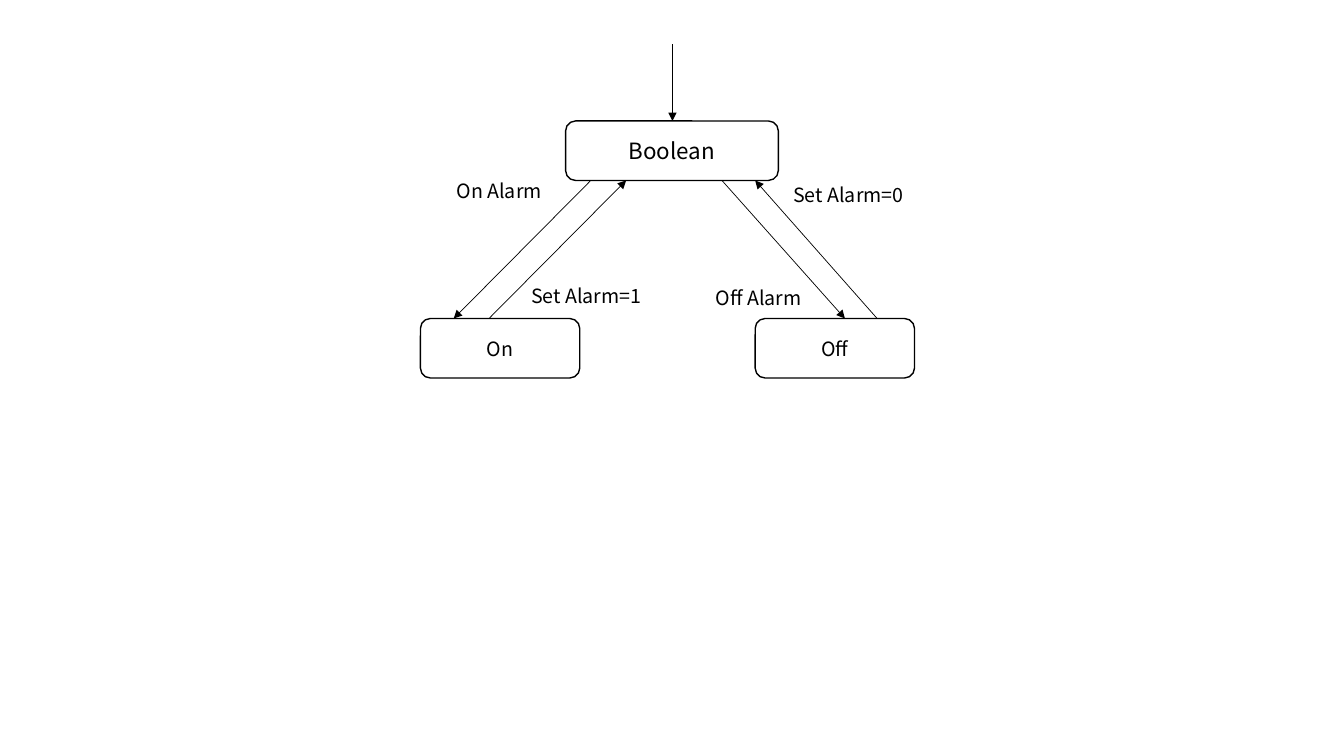
from pptx import Presentation
from pptx.dml.color import RGBColor
from pptx.enum import shapes, text
from pptx.oxml.ns import qn
from pptx.util import Inches, Pt
from lxml import etree

COLORS = {"ink": "000000", "paper": "FFFFFF"}
FONT = "Noto Sans CJK KR"
INK = RGBColor.from_string(COLORS["ink"])
PAPER = RGBColor.from_string(COLORS["paper"])

deck = Presentation()
deck.slide_width, deck.slide_height = Inches(13.33), Inches(7.5)
page = deck.slides.add_slide(deck.slide_layouts[6])


def write(box, wording, size, align):
    para = box.text_frame.paragraphs[0]
    para.alignment = align
    span = para.add_run()
    span.text = wording
    for name, value in {"name": FONT, "size": Pt(size)}.items():
        setattr(span.font, name, value)
    span.font.color.rgb = INK


state_height = 0.59
top_row, bottom_row = 1.2, 3.16
top_edge = top_row + state_height

states = [
    ("Boolean", 5.61, top_row, 2.11, 16),
    ("On", 4.17, bottom_row, 1.58, 14),
    ("Off", 7.49, bottom_row, 1.58, 14),
]
for wording, left, top, width, size in states:
    state = page.shapes.add_shape(
        shapes.MSO_SHAPE.ROUNDED_RECTANGLE,
        Inches(left), Inches(top), Inches(width), Inches(state_height))
    state.shadow.inherit = False
    state.fill.solid()
    state.fill.fore_color.rgb = PAPER
    state.line.color.rgb = INK
    state.line.width = Pt(1)
    state.text_frame.vertical_anchor = text.MSO_ANCHOR.MIDDLE
    write(state, wording, size, text.PP_ALIGN.CENTER)

transitions = [
    (6.67, 0.44, 6.67, top_row),
    (5.86, top_edge, 4.5, bottom_row),
    (4.85, bottom_row, 6.21, top_edge),
    (7.16, top_edge, 8.38, bottom_row),
    (8.7, bottom_row, 7.49, top_edge),
]
for ends in transitions:
    arrow = page.shapes.add_connector(
        shapes.MSO_CONNECTOR.STRAIGHT, *[Inches(end) for end in ends])
    arrow.line.color.rgb = INK
    arrow.line.width = Pt(0.5)
    etree.SubElement(arrow.line._get_or_add_ln(), qn("a:tailEnd"), type="triangle")
    etree.SubElement(arrow._element.spPr, qn("a:effectLst"))

labels = [
    ("Set Alarm=1", 5.17, 2.77, 1.49),
    ("On Alarm", 4.43, 1.73, 1.18),
    ("Off Alarm", 7, 2.79, 1.44),
    ("Set Alarm=0", 7.77, 1.77, 1.57),
]
for wording, left, top, width in labels:
    label = page.shapes.add_textbox(
        Inches(left), Inches(top), Inches(width), Inches(0.34))
    frame_format = {"word_wrap": True, "auto_size": text.MSO_AUTO_SIZE.SHAPE_TO_FIT_TEXT}
    for name, value in frame_format.items():
        setattr(label.text_frame, name, value)
    write(label, wording, 14, text.PP_ALIGN.LEFT)

deck.save("out.pptx")
